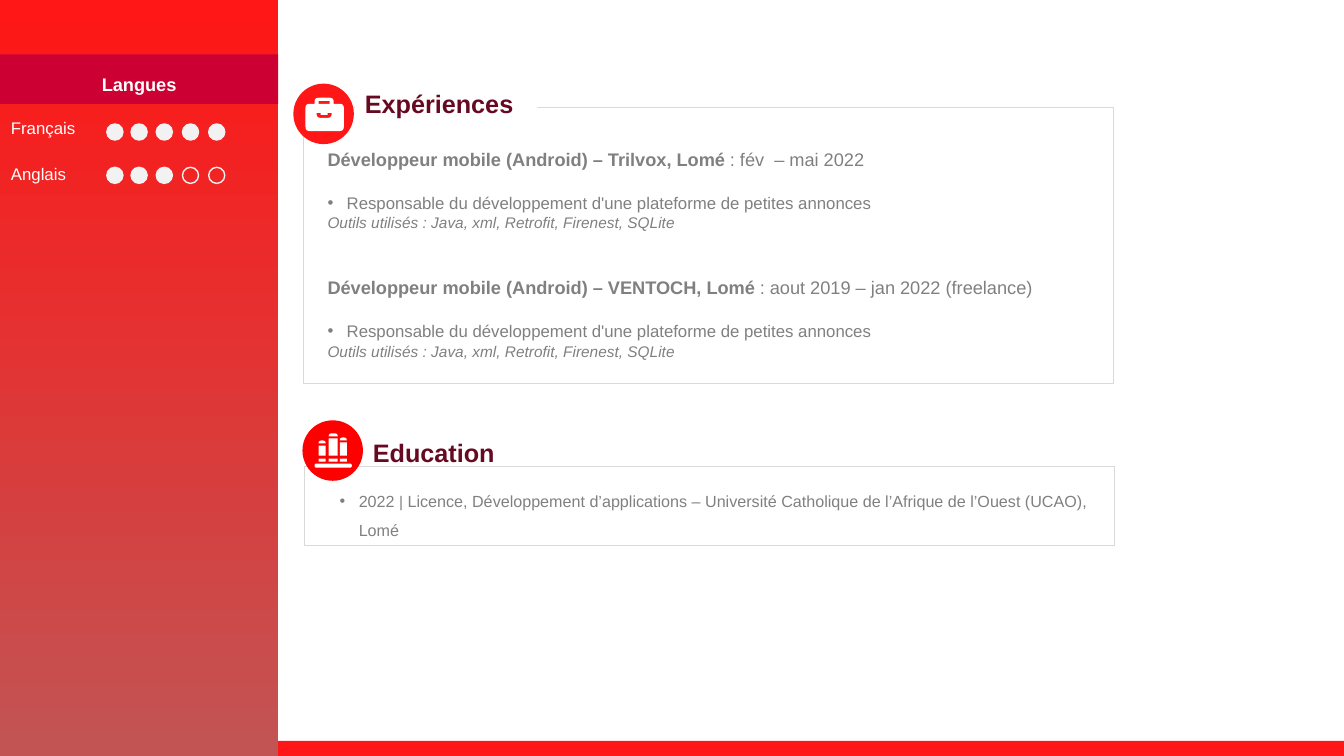
from dataclasses import dataclass

from lxml import etree
from pptx import Presentation
from pptx import util as u
from pptx.dml.color import RGBColor
from pptx.enum import shapes, text
from pptx.oxml import ns

HUES = {
    "red": "FF1616", "pure": "FF0000", "brick": "C25454", "crimson": "CC0033",
    "wine": "660A21", "grey": "808080", "rule": "D9D9D9", "dot": "F2F2F2",
    "white": "FFFFFF",
}
KIND = shapes.MSO_SHAPE
ALIGN = text.PP_ALIGN
MID, TOP = text.MSO_ANCHOR.MIDDLE, text.MSO_ANCHOR.TOP


@dataclass
class Run:
    words: str
    size: float
    hue: str = "grey"
    bold: bool = False
    italic: bool = False


@dataclass
class Para:
    runs: list[Run]
    before: float = 0
    lines: float = 1.0
    align: ALIGN = ALIGN.LEFT
    bullet: float | None = None  # left margin of a bulleted paragraph


@dataclass
class Skill:
    name: str
    top: float
    dots: float
    level: int


@dataclass
class Job:
    role: str
    dates: str


@dataclass
class Book:
    left: float
    top: float
    width: float


def hue(name: str) -> RGBColor:
    return RGBColor.from_string(HUES[name])


def paint(shape, fill: str | None, line: str | None = None, width: float = 0.25):
    shape.shadow.inherit = False
    if fill:
        shape.fill.solid()
        shape.fill.fore_color.rgb = hue(fill)
    else:
        shape.fill.background()
    if line:
        shape.line.color.rgb = hue(line)
        shape.line.width = u.Pt(width)
    else:
        shape.line.fill.background()
    return shape


def block(pool, kind, box: tuple, fill: str | None, line: str | None = None,
          width: float = 0.25):
    return paint(pool.add_shape(kind, *map(u.Inches, box)), fill, line, width)


def write(shape, paras: list[Para], anchor=TOP, inset: float = 0.05,
          wrap: bool = True) -> None:
    frame = shape.text_frame
    form = {"word_wrap": wrap, "vertical_anchor": anchor,
            "margin_top": u.Inches(inset), "auto_size": text.MSO_AUTO_SIZE.NONE}
    for key, value in form.items():
        setattr(frame, key, value)
    for spot, para in enumerate(paras):
        line = frame.add_paragraph() if spot else frame.paragraphs[0]
        form = {"alignment": para.align, "line_spacing": para.lines,
                "space_before": u.Pt(para.before)}
        for key, value in form.items():
            setattr(line, key, value)
        if para.bullet is not None:
            props = line._p.get_or_add_pPr()
            props.set("marL", str(u.Inches(para.bullet)))
            props.set("indent", str(u.Inches(-0.19)))
            etree.SubElement(props, ns.qn("a:buFont"), typeface="Arial")
            etree.SubElement(props, ns.qn("a:buChar"), char="•")
        for item in para.runs:
            run = line.add_run()
            run.text = item.words
            form = {"name": "Arial", "size": u.Pt(item.size),
                    "bold": item.bold, "italic": item.italic}
            for key, value in form.items():
                setattr(run.font, key, value)
            run.font.color.rgb = hue(item.hue)


def soften(corners: list[tuple]) -> list[tuple]:
    """Round each (x, y, radius) corner of a right-angled outline."""
    points = []
    for spot, (x, y, cut) in enumerate(corners):
        ends = []
        for near in (corners[spot - 1], corners[(spot + 1) % len(corners)]):
            span = abs(near[0] - x) + abs(near[1] - y)
            ends.append((x + (near[0] - x) * cut / span,
                         y + (near[1] - y) * cut / span))
        for step in range(5 if cut else 1):
            t = step / 4
            a, b, c = (1 - t) ** 2, 2 * t * (1 - t), t * t
            points.append(tuple(a * p + b * q + c * r
                                for p, q, r in zip(ends[0], (x, y), ends[1])))
    return [(u.Inches(x), u.Inches(y)) for x, y in points]


def outline(pool, *loops: list[tuple]) -> None:
    first, *rest = map(soften, loops)
    pen = pool.build_freeform(*first[0])
    pen.add_line_segments(first[1:])
    for loop in rest:
        pen.move_to(*loop[0])
        pen.add_line_segments(loop[1:])
    paint(pen.convert_to_shape(), "white")


def badge(pool, left: float, top: float, fill: str):
    group = pool.add_group_shape().shapes
    block(group, KIND.OVAL, (left, top, 0.6, 0.6), fill)
    return group


def stack(pool, book: Book) -> None:
    left, top, right = book.left, book.top, book.left + book.width
    outline(pool, [(left, top, 0.03), (right, top, 0.03),
                   (right, top + 0.03, 0), (left, top + 0.03, 0)])
    for start, end in ((top + 0.05, 4.52), (4.55, 4.58)):
        block(pool, KIND.RECTANGLE, (left, start, book.width, end - start), "white")


def heading(words: str) -> list[Para]:
    return [Para([Run(words, 18, "wine", bold=True)])]


def career(jobs: list[Job]) -> list[Para]:
    task = "Responsable du développement d'une plateforme de petites annonces"
    tools = "Outils utilisés : Java, xml, Retrofit, Firenest, SQLite"
    paras = []
    for job in jobs:
        paras += [
            Para([Run(job.role, 13, bold=True), Run(job.dates, 13)],
                 before=32 if paras else 0),
            Para([Run(task, 12)], before=16, bullet=0.19),
            Para([Run(tools, 11, italic=True)], before=0.5),
        ]
    return paras


def sidebar(pool) -> None:
    block(pool, KIND.RECTANGLE, (0, 7.35, 13.33, 0.15), "red")
    panel = block(pool, KIND.RECTANGLE, (0, 0, 2.76, 7.5), "red")
    panel.fill.gradient()
    panel.fill.gradient_angle = 270
    for stop, name in zip(panel.fill.gradient_stops, ("red", "brick")):
        stop.color.rgb = hue(name)
    band = block(pool, KIND.RECTANGLE, (0, 0.54, 2.76, 0.49), "crimson")
    write(band, [Para([Run("Langues", 13, "white", bold=True)],
                      lines=1.5, align=ALIGN.CENTER)], MID)
    for skill in (Skill("Français", 1.12, 1.23, 5), Skill("Anglais", 1.58, 1.66, 3)):
        label = pool.add_textbox(*map(u.Inches, (0.01, skill.top, 0.85, 0.3)))
        write(label, [Para([Run(skill.name, 12, "white")])], wrap=False)
        for rank, left in enumerate((1.06, 1.3, 1.55, 1.81, 2.07)):
            block(pool, KIND.FLOWCHART_CONNECTOR, (left, skill.dots, 0.16, 0.16),
                  "dot" if rank < skill.level else None, "dot", 1)


def study(pool) -> None:
    degree = ("2022 ", "|", " Licence, Développement d’applications – Université "
              "Catholique de l’Afrique de l’Ouest (UCAO), Lomé")
    frame = block(pool, KIND.RECTANGLE, (3.02, 4.62, 8.03, 0.79), None, "rule")
    runs = [Run(words, size) for words, size in zip(degree, (11.5, 11, 11.5))]
    write(frame, [Para(runs, lines=1.5, bullet=0.44)], inset=0.16)
    title = pool.add_textbox(*map(u.Inches, (3.6, 4.29, 3.68, 0.4)))
    write(title, heading("Education"))
    icon = badge(pool, 3, 4.17, "pure")
    for book in (Book(3.16, 4.37, 0.07), Book(3.26, 4.3, 0.09), Book(3.37, 4.34, 0.07)):
        stack(icon, book)
    outline(icon, [(3.12, 4.6, 0.02), (3.49, 4.6, 0.02),
                   (3.49, 4.64, 0.02), (3.12, 4.64, 0.02)])


def work(pool) -> None:
    jobs = [
        Job("Développeur mobile (Android) – Trilvox, Lomé ", ": fév  – mai 2022"),
        Job("Développeur mobile (Android) – VENTOCH, Lomé ",
            ": aout 2019 – jan 2022 (freelance)"),
    ]
    block(pool, KIND.RECTANGLE, (3.01, 1.06, 8.03, 2.74), None, "rule")
    body = block(pool, KIND.RECTANGLE, (3.15, 1.21, 7.88, 2.39), "white")
    write(body, career(jobs), inset=0.26)
    icon = badge(pool, 2.91, 0.83, "red")
    case = [(3.12, 1.03, 0), (3.12, 0.97, 0.04), (3.31, 0.97, 0.04), (3.31, 1.03, 0),
            (3.41, 1.03, 0.04), (3.41, 1.3, 0.04), (3.03, 1.3, 0.04), (3.03, 1.03, 0.04)]
    grip = [(3.16, 1, 0), (3.16, 1.03, 0), (3.27, 1.03, 0), (3.27, 1, 0)]
    clasp = [(3.14, 1.12, 0), (3.14, 1.17, 0.04), (3.29, 1.17, 0.04), (3.29, 1.12, 0),
             (3.25, 1.12, 0), (3.25, 1.14, 0), (3.18, 1.14, 0), (3.18, 1.12, 0)]
    outline(icon, case, grip, clasp)
    title = block(pool, KIND.RECTANGLE, (3.52, 0.83, 1.81, 0.4), "white")
    write(title, heading("Expériences"))


def main() -> None:
    deck = Presentation()
    deck.slide_width, deck.slide_height = u.Inches(13.33), u.Inches(7.5)
    pool = deck.slides.add_slide(deck.slide_layouts[6]).shapes
    for draw in (sidebar, study, work):
        draw(pool)
    deck.save("out.pptx")


if __name__ == "__main__":
    main()
